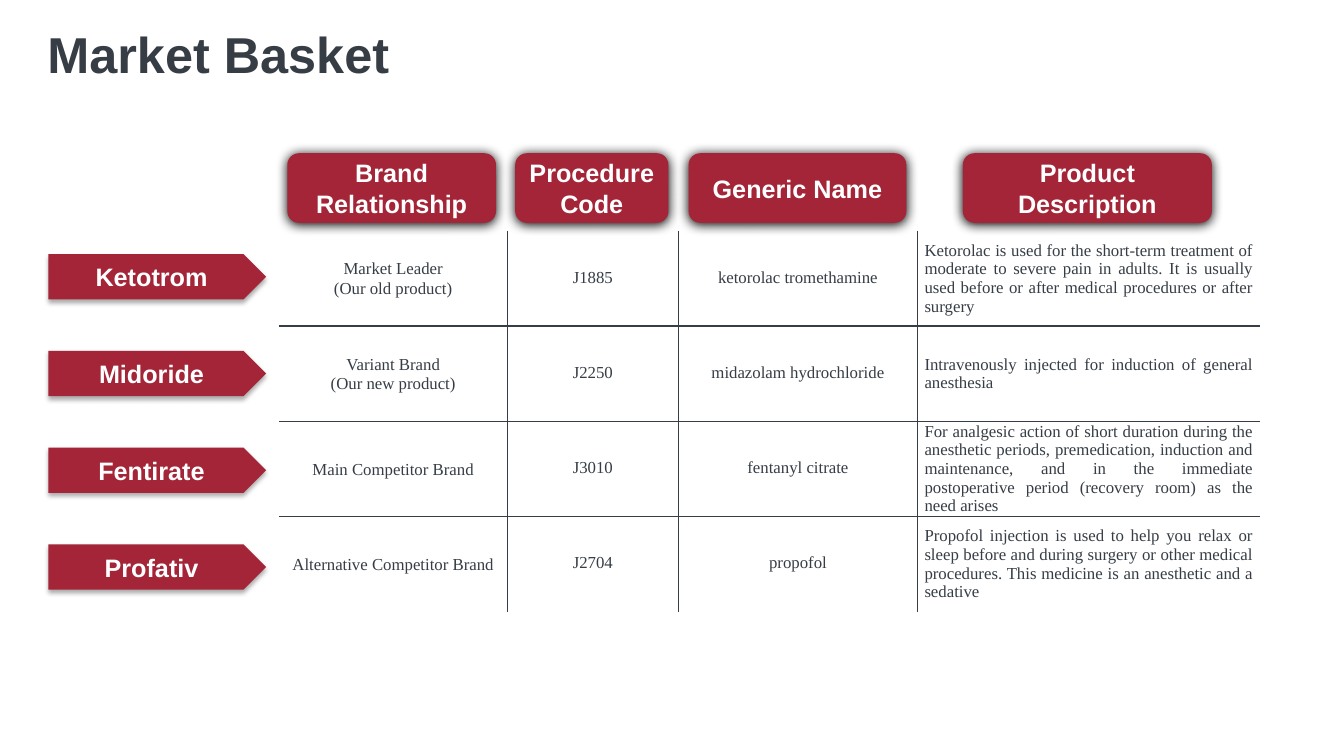
from lxml import etree
from pptx import Presentation
from pptx.dml.color import RGBColor
from pptx.enum import shapes, text
from pptx.oxml import parse_xml
from pptx.oxml.ns import nsdecls, qn
from pptx.util import Inches, Pt

RED = RGBColor(0xA3, 0x25, 0x37)
SLATE = RGBColor(0x36, 0x3D, 0x45)
WHITE = RGBColor(0xFF, 0xFF, 0xFF)
CENTER, JUSTIFY = text.PP_ALIGN.CENTER, text.PP_ALIGN.JUSTIFY
TOP, MIDDLE = text.MSO_ANCHOR.TOP, text.MSO_ANCHOR.MIDDLE

COLUMN_WIDTHS = [2.26, 1.7, 2.37, 3.4]
ROW_HEIGHT = 0.945
COLUMN_FORMATS = [
    dict(align=CENTER, spacing=1.07, anchor=MIDDLE),
    dict(align=CENTER, spacing=3.0, anchor=TOP),
    dict(align=CENTER, spacing=3.0, anchor=TOP),
    dict(align=JUSTIFY, spacing=1.0, anchor=MIDDLE),
]
HEADERS = [
    ("Brand\nRelationship", 2.85, 2.07),
    ("Procedure\nCode", 5.11, 1.52),
    ("Generic Name", 6.83, 2.16),
    ("Product Description", 9.55, 2.47),
]
PRODUCTS = {
    "Ketotrom": (
        "Market Leader\n(Our old product)", "J1885", "ketorolac tromethamine",
        "Ketorolac is used for the short-term treatment of moderate to severe pain in adults. "
        "It is usually used before or after medical procedures or after surgery"),
    "Midoride": (
        "Variant Brand\n(Our new product)", "J2250", "midazolam hydrochloride",
        "Intravenously injected for induction of general anesthesia"),
    "Fentirate": (
        "Main Competitor Brand", "J3010", "fentanyl citrate",
        "For analgesic action of short duration during the anesthetic periods, premedication, "
        "induction and maintenance, and in the immediate postoperative period (recovery room) "
        "as the need arises"),
    "Profativ": (
        "Alternative Competitor Brand", "J2704", "propofol",
        "Propofol injection is used to help you relax or sleep before and during surgery or "
        "other medical procedures. This medicine is an anesthetic and a sedative"),
}


def write(tf, content, size=18, font="Arial", color=WHITE, bold=True,
          align=CENTER, spacing=1.0, anchor=MIDDLE):
    """Fill a text frame, one paragraph for each line of content."""
    tf.word_wrap = True
    tf.vertical_anchor = anchor
    for i, line in enumerate(content.split("\n")):
        p = tf.add_paragraph() if i else tf.paragraphs[0]
        p.alignment = align
        p.line_spacing = spacing
        r = p.add_run()
        r.text = line
        r.font.name = font
        r.font.size = Pt(size)
        r.font.bold = bold
        r.font.color.rgb = color


def add_shadow(sp, alpha, blur, dist):
    """Cast a black shadow straight down; alpha in percent, lengths in points."""
    sp.shadow.inherit = False
    effects = sp._element.spPr.find(qn("a:effectLst"))
    shadow = etree.SubElement(effects, qn("a:outerShdw"), blurRad=str(Pt(blur)),
                              dist=str(Pt(dist)), dir="5400000", rotWithShape="0")
    color = etree.SubElement(shadow, qn("a:srgbClr"), val="000000")
    etree.SubElement(color, qn("a:alpha"), val=str(alpha * 1000))


def add_label(slide, kind, content, left, top, width, height, **shadow):
    sp = slide.shapes.add_shape(kind, Inches(left), Inches(top), Inches(width), Inches(height))
    sp.fill.solid()
    sp.fill.fore_color.rgb = RED
    sp.line.fill.background()
    add_shadow(sp, **shadow)
    write(sp.text_frame, content)


def set_borders(cell, sides):
    """Draw the named sides (out of L, R, T, B) and hide the others."""
    tc_pr = cell._tc.get_or_add_tcPr()
    for i, side in enumerate("LRTB"):
        paint = (f'<a:solidFill><a:srgbClr val="{SLATE}"/></a:solidFill>'
                 if side in sides else "<a:noFill/>")
        tc_pr.insert(i, parse_xml(
            f'<a:ln{side} {nsdecls("a")} w="{Pt(1)}">{paint}</a:ln{side}>'))


def add_product_table(slide, left, top):
    rows, cols = len(PRODUCTS), len(COLUMN_WIDTHS)
    table = slide.shapes.add_table(
        rows, cols, Inches(left), Inches(top),
        Inches(sum(COLUMN_WIDTHS)), Inches(rows * ROW_HEIGHT)).table
    table.first_row = table.horz_banding = False
    for column, width in zip(table.columns, COLUMN_WIDTHS):
        column.width = Inches(width)
    for r, values in enumerate(PRODUCTS.values()):
        table.rows[r].height = Inches(ROW_HEIGHT)
        for c, value in enumerate(values):
            cell = table.cell(r, c)
            cell.fill.background()
            cell.margin_left = cell.margin_right = Inches(0.07)
            cell.margin_top = cell.margin_bottom = 0
            fmt = COLUMN_FORMATS[c]
            write(cell.text_frame, value, size=12, font="Times New Roman",
                  color=SLATE, bold=False, **fmt)
            cell.vertical_anchor = fmt["anchor"]
            inner = {"L": c > 0, "R": c < cols - 1, "T": r > 0, "B": r < rows - 1}
            set_borders(cell, [side for side, shown in inner.items() if shown])


def add_title(slide, content):
    title = slide.shapes.title
    title.left, title.top = Inches(0.37), Inches(0.25)
    title.width, title.height = Inches(11.5), Inches(0.86)
    title.text_frame.auto_size = text.MSO_AUTO_SIZE.NONE
    write(title.text_frame, content, size=36, color=SLATE,
          align=text.PP_ALIGN.LEFT, spacing=0.9, anchor=TOP)


def main():
    prs = Presentation()
    prs.slide_width, prs.slide_height = Inches(13.33), Inches(7.5)
    slide = prs.slides.add_slide(prs.slide_layouts.get_by_name("Title Only"))
    add_title(slide, "Market Basket")
    add_product_table(slide, 2.77, 2.29)
    for i, name in enumerate(PRODUCTS):
        add_label(slide, shapes.MSO_SHAPE.PENTAGON, name, 0.48, 2.52 + 0.96 * i, 2.16, 0.45,
                  alpha=32, blur=3.5, dist=2.2)
    for name, left, width in HEADERS:
        add_label(slide, shapes.MSO_SHAPE.ROUNDED_RECTANGLE, name, left, 1.52, width, 0.69,
                  alpha=100, blur=8.5, dist=1)
    prs.save("out.pptx")


if __name__ == "__main__":
    main()
